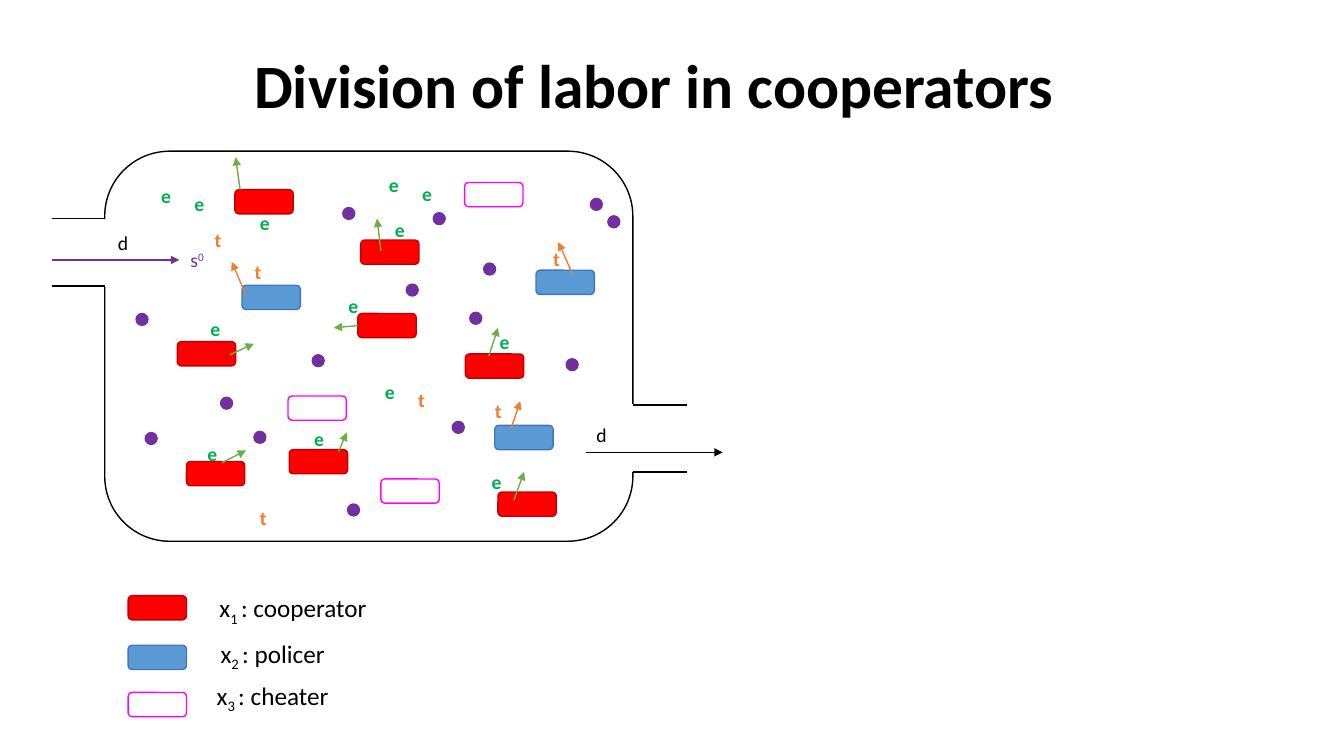
from dataclasses import dataclass
from typing import NamedTuple

from lxml import etree
from pptx import Presentation
from pptx.dml.color import RGBColor
from pptx.enum.shapes import MSO_CONNECTOR, MSO_SHAPE
from pptx.enum.text import MSO_ANCHOR, MSO_AUTO_SIZE, PP_ALIGN
from pptx.oxml.ns import qn
from pptx.util import Cm, Pt

ROUNDED = MSO_SHAPE.ROUNDED_RECTANGLE
RECTANGLE = MSO_SHAPE.RECTANGLE
OVAL = MSO_SHAPE.OVAL
STRAIGHT = MSO_CONNECTOR.STRAIGHT
MIDDLE = MSO_ANCHOR.MIDDLE
LEFT = PP_ALIGN.LEFT
GROW = MSO_AUTO_SIZE.SHAPE_TO_FIT_TEXT
LEFT_SIDE = 1


@dataclass(frozen=True)
class Theme:
    font: str = "Calibri"
    title_size: int = 44
    legend_size: int = 18
    label_size: int = 14
    line_width: int = 1
    black: str = "000000"
    white: str = "FFFFFF"
    purple: str = "7030A0"
    enzyme: str = "00B050"
    enzyme_arrow: str = "70AD47"
    toxin: str = "ED7D31"
    red: str = "FF0000"
    dark_red: str = "C00000"
    blue: str = "5B9BD5"
    dark_blue: str = "4472C4"
    magenta: str = "FF00FF"


THEME = Theme()


class Point(NamedTuple):
    x: float
    y: float


class Area(NamedTuple):
    left: float
    top: float
    width: float
    height: float


class Segment(NamedTuple):
    x1: float
    y1: float
    x2: float
    y2: float


class Piece(NamedTuple):
    text: str
    baseline: int = 0


class Label(NamedTuple):
    area: Area
    pieces: list[Piece]
    size: int
    color: str
    bold: bool = False


@dataclass(frozen=True)
class Species:
    index: str
    name: str
    fill: str
    line: str
    swatch_top: float
    caption: Point
    cells: list[Point]


@dataclass(frozen=True)
class Secretion:
    letter: str
    color: str
    arrow_color: str
    letters: list[Point]
    arrows: list[Segment]


CELL_WIDTH, CELL_HEIGHT = 1.47, 0.61
DOT_SIZE = 0.3
SWATCH_LEFT = 3.23
VESSEL = Area(2.64, 3.81, 13.31, 9.83)
OPENINGS = [Area(2.64, 5.54, 0.13, 1.68), Area(15.7, 10.21, 0.48, 1.68)]
PIPES = [Segment(1.3, 5.51, 2.64, 5.51), Segment(1.3, 7.21, 2.64, 7.21),
         Segment(15.95, 10.21, 17.32, 10.21), Segment(15.95, 11.89, 17.32, 11.89)]
INFLOW = Segment(1.3, 6.55, 4.52, 6.55)
OUTFLOW = Segment(14.76, 11.4, 18.21, 11.4)

FLOW_LABELS = [
    Label(Area(2.72, 5.69, 1.88, 0.86), [Piece("d")], THEME.label_size, THEME.black),
    Label(Area(4.55, 6.12, 1.88, 0.86), [Piece("s"), Piece("0", 30000)],
          THEME.label_size, THEME.purple),
    Label(Area(14.78, 10.54, 1.88, 0.86), [Piece("d")], THEME.label_size, THEME.black),
]

SPECIES = [
    Species("1", "cooperator", THEME.red, THEME.dark_red, 15.01, Point(5.28, 14.81),
            [Point(4.47, 8.61), Point(4.7, 11.63), Point(9.02, 7.9), Point(11.73, 8.92),
             Point(7.29, 11.33), Point(12.55, 12.4), Point(9.09, 6.05), Point(5.92, 4.78)]),
    Species("2", "policer", THEME.blue, THEME.dark_blue, 16.26, Point(5.31, 15.95),
            [Point(6.1, 7.19), Point(13.51, 6.81), Point(12.47, 10.72)]),
    Species("3", "cheater", THEME.white, THEME.magenta, 17.45, Point(5.21, 17.02),
            [Point(9.6, 12.07), Point(11.71, 4.6), Point(7.26, 9.98)]),
]

SUBSTRATE = [
    Point(3.43, 7.9), Point(3.66, 10.9), Point(10.92, 5.36), Point(8.64, 5.23),
    Point(7.87, 8.94), Point(5.56, 10.01), Point(11.4, 10.62), Point(6.4, 10.87),
    Point(8.76, 12.7), Point(11.84, 7.87), Point(10.24, 7.16), Point(14.88, 5),
    Point(12.19, 6.63), Point(15.32, 5.44), Point(14.27, 9.04),
]

SECRETIONS = [
    Secretion("e", THEME.enzyme, THEME.enzyme_arrow,
              [Point(9.7, 5.36), Point(12.34, 8.18), Point(6.3, 5.18), Point(12.14, 11.71),
               Point(7.67, 10.64), Point(8.53, 7.29), Point(5.05, 7.87), Point(4.98, 11),
               Point(3.81, 4.5), Point(9.55, 4.24), Point(9.45, 9.45), Point(4.65, 4.7),
               Point(10.39, 4.45)],
              [Segment(6.05, 4.78, 5.94, 3.96), Segment(9.6, 6.32, 9.5, 5.51),
               Segment(5.79, 8.94, 6.4, 8.66), Segment(5.59, 11.66, 6.2, 11.35),
               Segment(8.53, 11.38, 8.74, 10.9), Segment(12.95, 12.6, 13.21, 11.89),
               Segment(12.32, 8.97, 12.55, 8.26)]),
    Secretion("t", THEME.toxin, THEME.toxin,
              [Point(6.17, 6.43), Point(13.69, 6.1), Point(12.22, 9.93), Point(10.29, 9.65),
               Point(6.3, 12.62), Point(5.16, 5.61)],
              [Segment(12.88, 10.8, 13.11, 10.11), Segment(14.43, 6.91, 14.07, 6.1),
               Segment(6.2, 7.44, 5.84, 6.6)]),
]
SIDE_ARROW = Segment(9.02, 8.2, 8.41, 8.26)
SIDE_ARROW_CELL = Point(9.02, 7.9)


def style_font(font, size: int, color: str, bold: bool) -> None:
    font.name = THEME.font
    font.size = Pt(size)
    font.bold = bold
    font.color.rgb = RGBColor.from_string(color)


def draw_shape(page, kind, area: Area, fill: str | None, line: str):
    shape = page.shapes.add_shape(kind, *map(Cm, area))
    shape.shadow.inherit = False
    if fill is None:
        shape.fill.background()
    else:
        shape.fill.solid()
        shape.fill.fore_color.rgb = RGBColor.from_string(fill)
    shape.line.color.rgb = RGBColor.from_string(line)
    shape.line.width = Pt(THEME.line_width)
    return shape


def draw_cell(page, species: Species, corner: Point):
    return draw_shape(page, ROUNDED, Area(*corner, CELL_WIDTH, CELL_HEIGHT),
                      species.fill, species.line)


def draw_line(page, segment: Segment, color: str, arrow: bool = True):
    line = page.shapes.add_connector(STRAIGHT, *map(Cm, segment))
    line.line.color.rgb = RGBColor.from_string(color)
    line.line.width = Pt(THEME.line_width)
    if arrow:
        etree.SubElement(line.line._get_or_add_ln(), qn("a:tailEnd"), type="triangle")
    etree.SubElement(line._element.spPr, qn("a:effectLst"))
    return line


def draw_label(page, label: Label) -> None:
    frame = page.shapes.add_textbox(*map(Cm, label.area)).text_frame
    frame.word_wrap = True
    frame.auto_size = GROW
    para = frame.paragraphs[0]
    style_font(para.font, label.size, label.color, label.bold)
    for piece in label.pieces:
        span = para.add_run()
        span.text = piece.text
        if piece.baseline:
            span.font._element.set("baseline", str(piece.baseline))


def draw_title(page) -> None:
    title = page.shapes.title
    title.left, title.top, title.width, title.height = map(Cm, (6.15, 0.38, 29.21, 3.68))
    title.text_frame.text = "Division of labor in cooperators"
    title.text_frame.vertical_anchor = MIDDLE
    para = title.text_frame.paragraphs[0]
    para.alignment = LEFT
    para.line_spacing = 0.9
    style_font(para.font, THEME.title_size, THEME.black, True)


def main() -> None:
    deck = Presentation()
    deck.slide_width, deck.slide_height = Cm(33.87), Cm(19.05)
    page = deck.slides.add_slide(deck.slide_layouts[5])
    draw_title(page)

    draw_shape(page, ROUNDED, VESSEL, None, THEME.black)
    for opening in OPENINGS:
        draw_shape(page, RECTANGLE, opening, THEME.white, THEME.white)
    for pipe in PIPES:
        draw_line(page, pipe, THEME.black, arrow=False)
    draw_line(page, INFLOW, THEME.purple)
    draw_line(page, OUTFLOW, THEME.black)
    for label in FLOW_LABELS:
        draw_label(page, label)

    cells = {}
    for species in SPECIES:
        draw_cell(page, species, Point(SWATCH_LEFT, species.swatch_top))
        pieces = [Piece("x"), Piece(f"{species.index} ", -25000), Piece(f": {species.name}")]
        draw_label(page, Label(Area(*species.caption, 7.59, 1.02), pieces,
                               THEME.legend_size, THEME.black))
        for corner in species.cells:
            cells[corner] = draw_cell(page, species, corner)

    for dot in SUBSTRATE:
        draw_shape(page, OVAL, Area(*dot, DOT_SIZE, DOT_SIZE), THEME.purple, THEME.purple)
    for secretion in SECRETIONS:
        for corner in secretion.letters:
            draw_label(page, Label(Area(*corner, 0.74, 0.86), [Piece(secretion.letter)],
                                   THEME.label_size, secretion.color, True))
        for arrow in secretion.arrows:
            draw_line(page, arrow, secretion.arrow_color)
    side_arrow = draw_line(page, SIDE_ARROW, THEME.enzyme_arrow)
    side_arrow.begin_connect(cells[SIDE_ARROW_CELL], LEFT_SIDE)

    deck.save("out.pptx")


if __name__ == "__main__":
    main()
